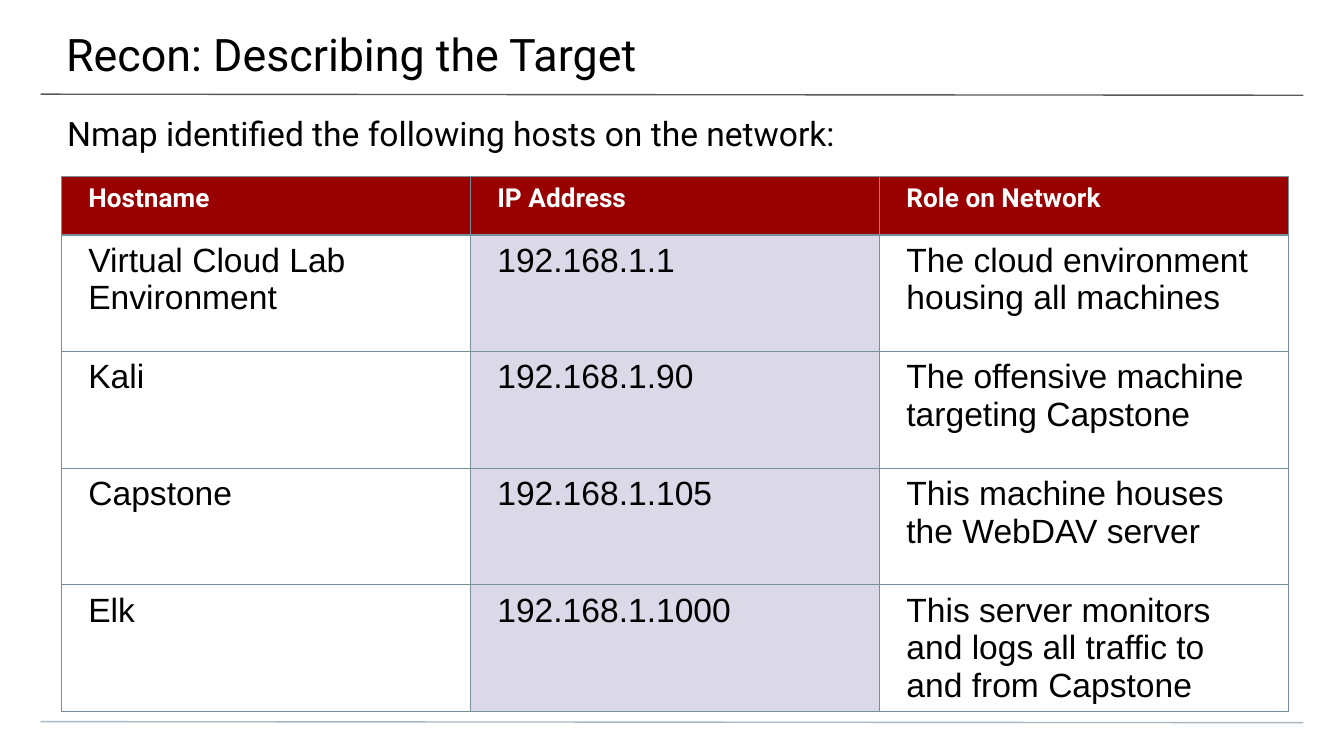
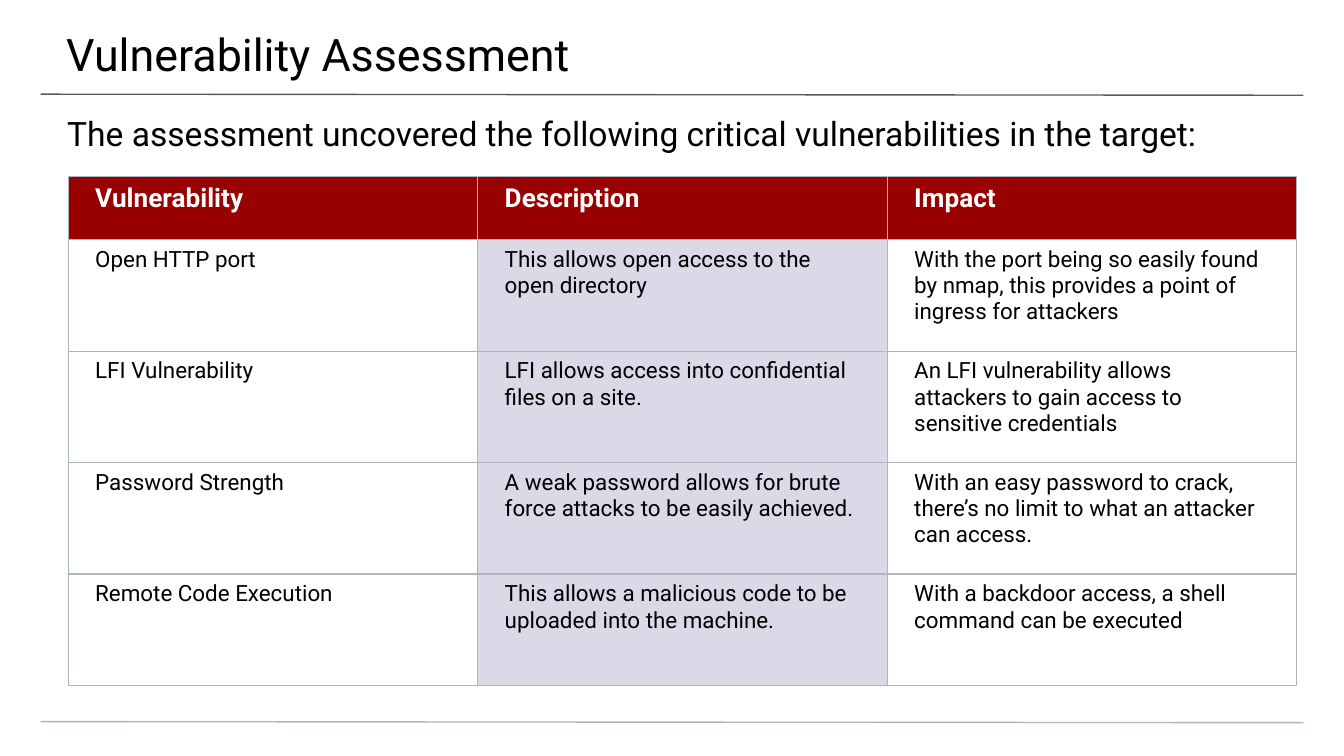
from pptx import Presentation
from pptx import util as u
from pptx.dml import color
from pptx.enum import shapes, text
from pptx.oxml import parse_xml
from pptx.oxml import ns
from pptx.oxml.xmlchemy import OxmlElement

COLORS = {
    "ink": "000000",
    "header_text": "FFFFFF",
    "header": "990000",
    "middle_column": "DBD9E8",
    "title_rule": "595959",
    "footer_rule": "A9B7C0",
    "host_grid": "78909C",
    "vulnerability_grid": "A9B7C0",
}
RULE_WIDTH = u.Pt(0.75)
HEADING_FONT = "Roboto"

HOSTS = [
    ("Hostname", "IP Address", "Role on Network"),
    ("Virtual Cloud Lab Environment", "192.168.1.1",
     "The cloud environment housing all machines"),
    ("Kali", "192.168.1.90", "The offensive machine targeting Capstone"),
    ("Capstone", "192.168.1.105", "This machine houses the WebDAV server"),
    ("Elk", "192.168.1.1000",
     "This server monitors and logs all traffic to and from Capstone"),
]
VULNERABILITIES = [
    ("Vulnerability", "Description", "Impact"),
    ("Open HTTP port", "This allows open access to the open directory",
     "With the port being so easily found by nmap, this provides a point of "
     "ingress for attackers"),
    ("LFI Vulnerability", "LFI allows access into confidential files on a site.",
     "An LFI vulnerability allows attackers to gain access to sensitive credentials"),
    ("Password Strength",
     "A weak password allows for brute force attacks to be easily achieved.",
     "With an easy password to crack, there’s no limit to what an attacker can access."),
    ("Remote Code Execution",
     "This allows a malicious code to be uploaded into the machine.",
     "With a backdoor access, a shell command can be executed"),
]


def rgb(name):
    return color.RGBColor.from_string(COLORS[name])


def add_run(paragraph, words, size, font, ink, bold=False):
    run = paragraph.add_run()
    run.text = words
    run.font.size = u.Pt(size)
    run.font.name = font
    run.font.bold = bold
    run.font.color.rgb = rgb(ink)


def fill_placeholder(holder, box, insets, words, size):
    """Move a placeholder to box and give it one plain, unbulleted line."""
    holder.left, holder.top, holder.width, holder.height = map(u.Cm, box)
    frame = holder.text_frame
    frame.word_wrap = True
    frame.auto_size = text.MSO_AUTO_SIZE.NONE
    frame.vertical_anchor = text.MSO_ANCHOR.TOP
    (frame.margin_left, frame.margin_top,
     frame.margin_right, frame.margin_bottom) = map(u.Cm, insets)
    line = frame.paragraphs[0]
    properties = line._p.get_or_add_pPr()
    properties.set("marL", "0")
    properties.set("indent", "0")
    properties.append(OxmlElement("a:buNone"))
    line.alignment = text.PP_ALIGN.LEFT
    line.space_before = u.Pt(0)
    add_run(line, words, size, HEADING_FONT, "ink")


def add_rule(slide, top, ink):
    rule = slide.shapes.add_connector(
        shapes.MSO_CONNECTOR.STRAIGHT,
        u.Cm(0.77), u.Cm(top), u.Cm(24.63), u.Cm(top + 0.02))
    rule.line.color.rgb = rgb(ink)
    rule.line.width = RULE_WIDTH
    rule._element.spPr.append(OxmlElement("a:effectLst"))


def add_headed_slide(deck, title, lead):
    slide = deck.slides.add_slide(deck.slide_layouts[1])
    add_rule(slide, 1.78, "title_rule")
    add_rule(slide, 13.64, "footer_rule")
    fill_placeholder(slide.shapes.title, (-0.02, 0, 25.48, 1.47),
                     (1.27, 0.51, 0.76, 0.25), title, 24)
    fill_placeholder(slide.placeholders[1], (0, 1.88, 25.4, 1.02),
                     (1.27, 0.25, 1.27, 0), lead, 18)
    return slide


def outline_cell(cell, ink):
    properties = cell._tc.get_or_add_tcPr()
    for side in ("lnL", "lnR", "lnT", "lnB"):
        properties.append(parse_xml(
            f'<a:{side} {ns.nsdecls("a")} w="{RULE_WIDTH}"><a:solidFill>'
            f'<a:srgbClr val="{COLORS[ink]}"/></a:solidFill></a:{side}>'))


def add_findings_table(slide, rows, box, header_height, font, size, grid):
    """Fill box with a red header row and equal body rows and columns."""
    left, top, width, height = box
    columns = len(rows[0])
    table = slide.shapes.add_table(
        len(rows), columns, *map(u.Cm, box)).table
    table.horz_banding = False
    for column in table.columns:
        column.width = u.Cm(width / columns)
    for row in table.rows:
        row.height = u.Cm((height - header_height) / (len(rows) - 1))
    table.rows[0].height = u.Cm(header_height)

    for r, entries in enumerate(rows):
        for c, words in enumerate(entries):
            cell = table.cell(r, c)
            cell.margin_left = cell.margin_right = u.Cm(0.51)
            cell.margin_top = cell.margin_bottom = u.Cm(0.13)
            outline_cell(cell, grid)
            if r == 0 or c == 1:
                cell.fill.solid()
                cell.fill.fore_color.rgb = rgb("header" if r == 0 else "middle_column")
            else:
                cell.fill.background()
            line = cell.text_frame.paragraphs[0]
            if r == 0:
                add_run(line, words, 14, HEADING_FONT, "header_text", bold=True)
            else:
                add_run(line, words, size, font, "ink")


def main():
    deck = Presentation()
    deck.slide_width, deck.slide_height = u.Cm(25.4), u.Cm(14.29)

    recon = add_headed_slide(deck, "Recon: Describing the Target",
                             "Nmap identified the following hosts on the network:")
    add_findings_table(recon, HOSTS, (1.16, 3.34, 23.19, 9.92), 1.1,
                       "Arial", 18, "host_grid")

    assessment = add_headed_slide(
        deck, "Vulnerability Assessment",
        "The assessment uncovered the following critical vulnerabilities in the target:")
    add_findings_table(assessment, VULNERABILITIES, (1.29, 3.34, 23.22, 9.62), 1.19,
                       "Roboto", 12, "vulnerability_grid")

    deck.save("out.pptx")


if __name__ == "__main__":
    main()
